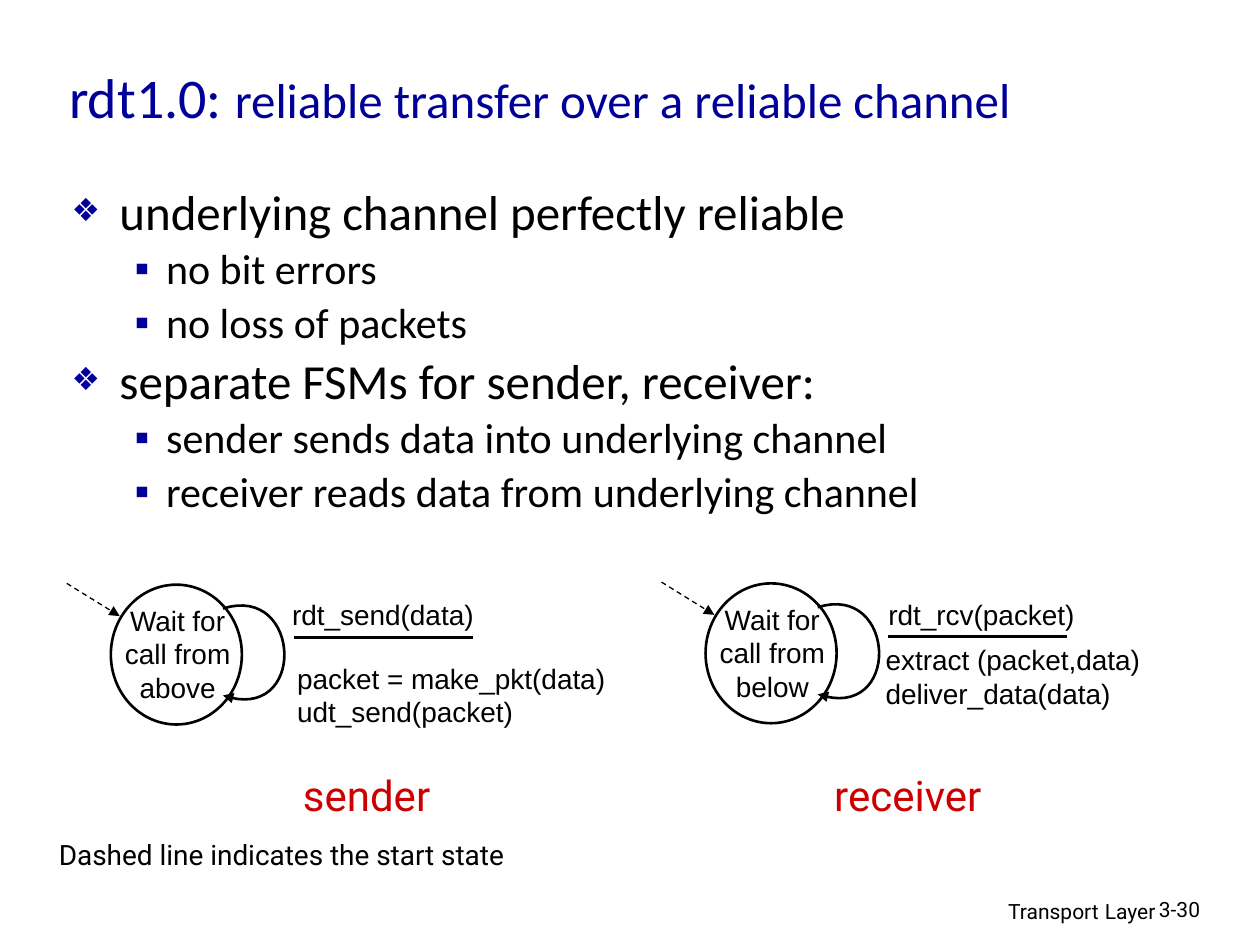
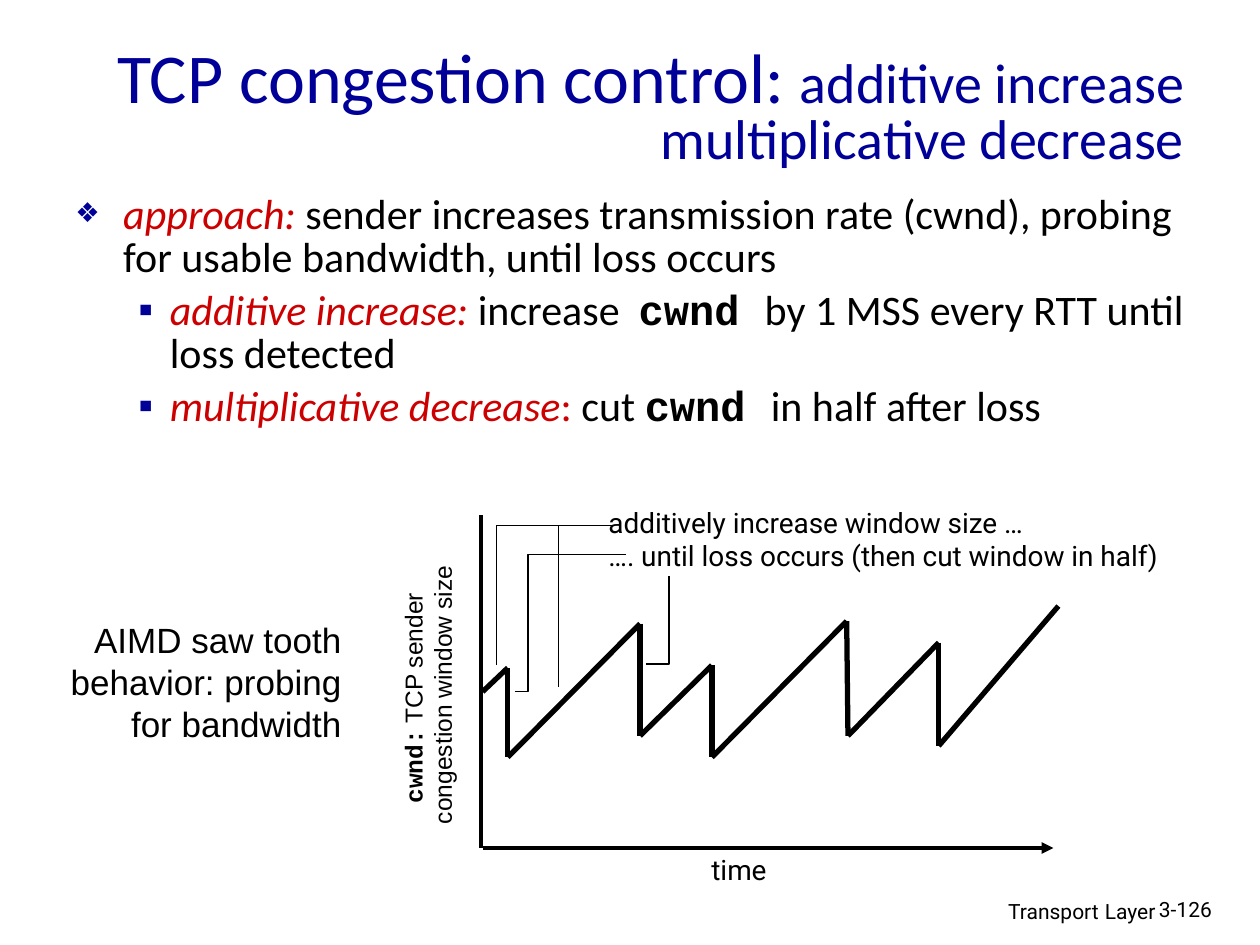
import dataclasses
import itertools

import lxml.etree
import pptx
import pptx.dml.color
import pptx.enum.dml
import pptx.enum.shapes
import pptx.enum.text
import pptx.oxml.ns
import pptx.util

Inches = pptx.util.Inches
Pt = pptx.util.Pt
Align = pptx.enum.text.PP_ALIGN
Anchor = pptx.enum.text.MSO_ANCHOR


@dataclasses.dataclass(frozen=True)
class Theme:
    black: str = "000000"
    white: str = "FFFFFF"
    navy: str = "000099"
    red: str = "CC0000"
    head: str = "Calibri"
    sans: str = "Arial"
    mono: str = "Courier New"
    note: str = "Roboto"
    foot: int = 12
    axis: int = 14
    small: int = 16
    mid: int = 20
    sub: int = 24
    main: int = 28
    title: int = 32
    huge: int = 40
    hair: float = 0.75
    thin: float = 1.5
    bold: float = 2.25
    thick: float = 3


def rgb(code):
    return pptx.dml.color.RGBColor.from_string(code)


def apply(item, values):
    for name, value in values.items():
        setattr(item, name, value)


def add_tag(parent, name, **values):
    return lxml.etree.SubElement(parent, pptx.oxml.ns.qn(name), values)


class Deck:
    def __init__(self, theme):
        self.theme = theme
        self.file = pptx.Presentation()
        apply(self.file, {"slide_width": Inches(10), "slide_height": Inches(7.5)})
        self.slide = None

    def page(self, number):
        """Start a slide and set its footer."""
        t = self.theme
        self.slide = self.file.slides.add_slide(self.file.slide_layouts[6])
        foot = {"name": t.note, "size": t.foot}
        self.text((6.1, 7.05, 3.17, 0.31),
                  [[("Transport", {}), (" ", {"size": t.axis}), ("Layer", {})]],
                  foot, align=Align.RIGHT)
        self.text((9.1, 7.07, 0.74, 0.3), [number], foot)

    def runs(self, para, parts, font):
        """Fill a paragraph from a string or from (text, changes) pairs."""
        if isinstance(parts, str):
            parts = [(parts, {})]
        for words, change in parts:
            run = para.add_run()
            run.text = words
            look = {"color": self.theme.black, **font, **change}
            run.font.color.rgb = rgb(look.pop("color"))
            look["size"] = Pt(look["size"])
            apply(run.font, look)

    def box(self, place, wrap=True, anchor=Anchor.TOP):
        shape = self.slide.shapes.add_textbox(*map(Inches, place))
        fit = pptx.enum.text.MSO_AUTO_SIZE
        apply(shape.text_frame, {
            "word_wrap": wrap, "vertical_anchor": anchor,
            "auto_size": fit.NONE if wrap else fit.SHAPE_TO_FIT_TEXT})
        return shape

    def text(self, place, lines, font, align=Align.LEFT, space=None, **frame):
        shape = self.box(place, **frame)
        body = shape.text_frame
        for i, parts in enumerate(lines):
            para = body.add_paragraph() if i else body.paragraphs[0]
            apply(para, {"alignment": align, "line_spacing": space})
            self.runs(para, parts, font)
        return shape

    def title(self, place, lead, rest, sizes, **form):
        t = self.theme
        parts = [(lead, {"size": sizes[0]}), (rest, {"size": sizes[1]})]
        self.text(place, [parts], {"name": t.head, "color": t.navy},
                  anchor=Anchor.MIDDLE, **form)

    def bullets(self, place, items, sizes, gap):
        """Write (level, parts) items; sizes and gap hold points by level."""
        t = self.theme
        body = self.box(place).text_frame
        marks = [("❖", 0.38, 0.38, "65000"), ("▪", 0.75, 0.25, "100000")]
        for i, (level, parts) in enumerate(items):
            para = body.add_paragraph() if i else body.paragraphs[0]
            apply(para, {"level": level, "line_spacing": 0.85,
                         "space_before": Pt(gap[level] if i else 0)})
            mark, left, hang, scale = marks[level]
            prop = para._p.get_or_add_pPr()
            prop.set("marL", str(Inches(left)))
            prop.set("indent", str(-Inches(hang)))
            add_tag(add_tag(prop, "a:buClr"), "a:srgbClr", val=t.navy)
            add_tag(prop, "a:buSzPct", val=scale)
            add_tag(prop, "a:buFont", typeface=t.sans)
            add_tag(prop, "a:buChar", char=mark)
            self.runs(para, parts, {"name": t.head, "size": sizes[level]})

    def stroke(self, shape, width, arrow=False, dash=False):
        line = shape.line
        line.color.rgb = rgb(self.theme.black)
        line.width = Pt(width)
        if dash:
            line.dash_style = pptx.enum.dml.MSO_LINE.DASH
        if arrow:
            add_tag(line._get_or_add_ln(), "a:tailEnd", type="triangle")

    def line(self, start, end, width, **form):
        kind = pptx.enum.shapes.MSO_CONNECTOR.STRAIGHT
        shape = self.slide.shapes.add_connector(kind, *map(Inches, start + end))
        self.stroke(shape, width, **form)
        add_tag(shape._element.spPr, "a:effectLst")

    def trace(self, points, width, **form):
        """Draw an open outline through the points."""
        first, *rest = [tuple(map(Inches, point)) for point in points]
        maker = self.slide.shapes.build_freeform(*first)
        maker.add_line_segments(rest, close=False)
        shape = maker.convert_to_shape()
        shape.shadow.inherit = False
        shape.fill.background()
        self.stroke(shape, width, **form)

    def curve(self, knots, width, **form):
        """Draw a cubic curve from its four control points."""
        steps = 32
        points = []
        for i in range(steps + 1):
            u = i / steps
            v = 1 - u
            share = (v ** 3, 3 * v * v * u, 3 * v * u * u, u ** 3)
            points.append(tuple(sum(s * k for s, k in zip(share, axis))
                                for axis in zip(*knots)))
        self.trace(points, width, **form)

    def state(self, left, top, label):
        """Draw one state with its start arrow, loop and event rule."""
        t = self.theme

        def at(x, y):
            return left + x, top + y

        ring = self.slide.shapes.add_shape(
            pptx.enum.shapes.MSO_SHAPE.OVAL,
            *map(Inches, (left, top, 1.04, 1.11)))
        ring.shadow.inherit = False
        ring.fill.solid()
        ring.fill.fore_color.rgb = rgb(t.white)
        self.stroke(ring, t.thin)
        self.text((*at(-0.07, 0.1), 1.2, 1), [label],
                  {"name": t.sans, "size": t.small}, align=Align.CENTER)
        loop = [(0.89, 0.19), (1.52, -0.01), (1.56, 1.11), (0.89, 0.88)]
        self.curve([at(*knot) for knot in loop], t.thin, arrow=True)
        self.line(at(1.45, 0.42), at(2.87, 0.42), t.thin)
        self.line(at(-0.35, -0.01), at(0.07, 0.25), t.hair, arrow=True, dash=True)


def channel(deck):
    t = deck.theme
    deck.page("3-30")
    deck.title((0.45, 0.21, 9.55, 1.1), "rdt1.0: ",
               "reliable transfer over a reliable channel", (t.title, t.main))
    deck.bullets((0.47, 1.46, 8.64, 3.3), [
        (0, "underlying channel perfectly reliable"),
        (1, "no bit errors"),
        (1, "no loss of packets"),
        (0, "separate FSMs for sender, receiver:"),
        (1, "sender sends data into underlying channel"),
        (1, "receiver reads data from underlying channel"),
    ], (t.main, t.sub), (7, 6))
    deck.state(0.88, 4.64, "Wait for call from above")
    deck.state(5.6, 4.63, "Wait for call from below")
    code = {"name": t.sans, "size": t.small}
    deck.text((2.22, 4.69, 2.47, 0.47), ["rdt_send(data)"], code)
    deck.text((2.26, 5.2, 2.93, 0.65),
              ["packet = make_pkt(data)", "udt_send(packet)"], code)
    deck.text((6.95, 4.69, 1.68, 0.37), ["rdt_rcv(packet)"], code,
              align=Align.CENTER, wrap=False)
    deck.text((6.93, 5.05, 2.72, 0.47),
              ["extract (packet,data)", "deliver_data(data)"], code)
    for left, width, role in ((2.27, 1.28, "sender"), (6.48, 1.45, "receiver")):
        deck.text((left, 6.06, width, 0.5), [role],
                  {"name": t.note, "size": t.sub, "color": t.red},
                  align=Align.CENTER, wrap=False)
    deck.text((0.36, 6.6, 3.74, 0.64), ["Dashed line indicates the start state"],
              {"name": t.note, "size": t.small}, align=Align.RIGHT)


def sawtooth(deck):
    t = deck.theme
    deck.page("3-126")
    deck.title((0.25, 0.25, 9.25, 1.25), "TCP congestion control: ",
               "additive increase multiplicative decrease", (t.huge, t.title),
               align=Align.RIGHT, space=0.8)
    term = {"color": t.red, "italic": True}
    code = {"name": t.mono, "bold": True}
    deck.bullets((0.5, 1.5, 9.16, 1.58), [
        (0, [("approach: ", term),
             ("sender increases transmission rate (cwnd), probing for usable "
              "bandwidth, until loss occurs", {})]),
        (1, [("additive increase:", term), (" increase  ", {}), ("cwnd ", code),
             ("by 1 MSS every RTT until loss detected", {})]),
        (1, [("multiplicative decrease", term), (":", {"color": t.red}),
             (" cut ", {}), ("cwnd ", code), ("in half after loss", {})]),
    ], (t.sub, t.sub), (6, 6))

    label = deck.text((2.27, 5.23, 2.25, 0.57),
                      [[("cwnd:", code), (" TCP sender ", {})],
                       "congestion window size"],
                      {"name": t.sans, "size": t.axis},
                      align=Align.CENTER, wrap=False)
    label.rotation = 270
    label.fill.solid()
    label.fill.fore_color.rgb = rgb(t.white)
    deck.text((0.46, 4.86, 2.35, 1.1),
              ["AIMD saw tooth", "behavior: probing", "for bandwidth"],
              {"name": t.sans, "size": t.mid}, align=Align.RIGHT, wrap=False)

    deck.line((3.83, 6.73), (8.36, 6.73), t.bold, arrow=True)
    deck.line((3.82, 4.09), (3.82, 6.73), t.bold)
    teeth = [(3.83, 5.49), (4.03, 5.3), (4.03, 6.01), (5.08, 4.95),
             (5.08, 5.84), (5.65, 5.28), (5.65, 6.01), (6.72, 4.93),
             (6.73, 5.84), (7.45, 5.1), (7.45, 5.92), (8.4, 4.81)]
    for start, end in itertools.pairwise(teeth):
        deck.line(start, end, t.thick)

    note = {"name": t.note, "size": t.small}
    deck.text((4.73, 3.96, 4.78, 0.64),
              ["additively increase window size …",
               "…. until loss occurs (then cut window in half)"], note, wrap=False)
    leads = [
        [(4.88, 4.17), (3.94, 4.17), (3.94, 5.28)],
        [(4.97, 4.4), (4.19, 4.4), (4.19, 5.49), (4.09, 5.49)],
        [(4.88, 4.17), (4.43, 4.17), (4.43, 5.45)],
        [(5.31, 4.57), (5.31, 5.27), (5.13, 5.27)],
    ]
    for lead in leads:
        deck.trace(lead, t.hair)
    deck.text((5.53, 6.72, 0.67, 0.37), ["time"], note,
              align=Align.CENTER, wrap=False)


def main():
    deck = Deck(Theme())
    channel(deck)
    sawtooth(deck)
    deck.file.save("out.pptx")


if __name__ == "__main__":
    main()
